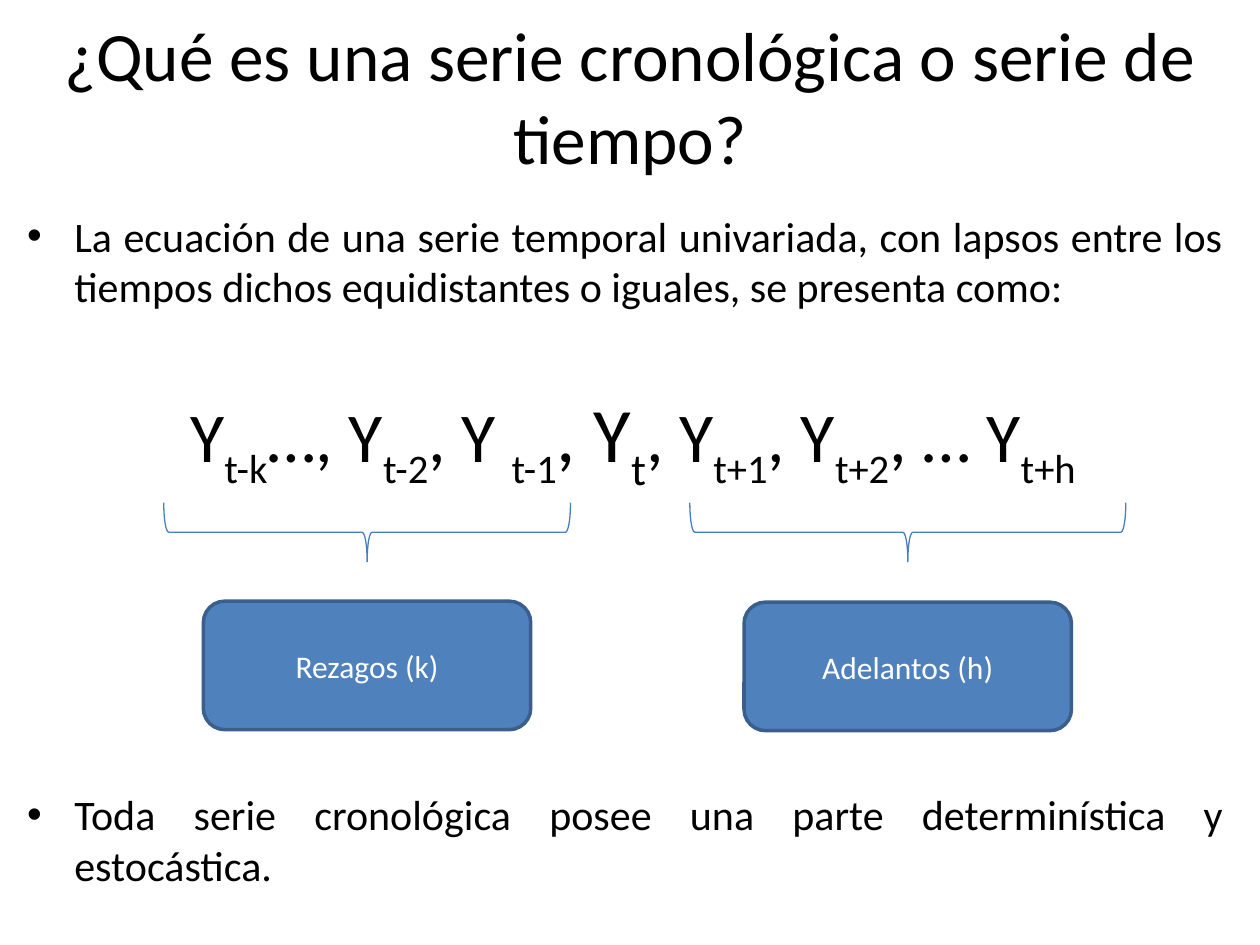
from pptx import Presentation
from pptx.dml.color import RGBColor
from pptx.enum.shapes import MSO_SHAPE
from pptx.enum.text import MSO_ANCHOR, PP_ALIGN
from pptx.oxml.ns import qn
from pptx.util import Cm, Pt
from lxml.etree import SubElement

COLORS = {
    "text": "000000",
    "label": "FFFFFF",
    "box": "4F81BD",
    "border": "3A5F8C",
    "brace": "4B7EBC",
}


class Deck:
    font = "Calibri"

    def __init__(self, prs):
        self.s = prs.slides.add_slide(prs.slide_layouts[6])

    def color(self, name):
        return RGBColor.from_string(COLORS[name])

    def run(self, p, text, size, color="text", sub=False):
        r = p.add_run()
        r.text = text
        r.font.name = self.font
        r.font.size = Pt(size)
        r.font.color.rgb = self.color(color)
        if sub:
            r._r.get_or_add_rPr().set("baseline", "-30000")

    def frame(self, x, y, w, h, anchor):
        tf = self.s.shapes.add_textbox(Cm(x), Cm(y), Cm(w), Cm(h)).text_frame
        tf.word_wrap = True
        tf.vertical_anchor = anchor
        return tf

    def line(self, x, y, w, h, runs):
        p = self.frame(x, y, w, h, MSO_ANCHOR.MIDDLE).paragraphs[0]
        p.alignment = PP_ALIGN.CENTER
        for text, size, sub in runs:
            self.run(p, text, size, sub=sub)

    def bullets(self, x, y, w, h, items, size, gap):
        tf = self.frame(x, y, w, h, MSO_ANCHOR.TOP)
        for i, text in enumerate(items):
            p = tf.add_paragraph() if i else tf.paragraphs[0]
            p.alignment = PP_ALIGN.JUSTIFY
            p.space_before = Pt(gap if i else 0)
            pPr = p._p.get_or_add_pPr()
            pPr.set("marL", str(Cm(0.95)))
            pPr.set("indent", str(-Cm(0.95)))
            SubElement(pPr, qn("a:buFont"), typeface="Arial")
            SubElement(pPr, qn("a:buChar"), char="•")
            self.run(p, text, size)

    def shape(self, kind, x, y, w, h, border, width):
        sp = self.s.shapes.add_shape(kind, Cm(x), Cm(y), Cm(w), Cm(h))
        sp.shadow.inherit = False
        sp.line.color.rgb = self.color(border)
        sp.line.width = Pt(width)
        return sp

    def brace(self, cx, cy, span, depth):
        sp = self.shape(MSO_SHAPE.RIGHT_BRACE, cx - depth / 2, cy - span / 2,
                        depth, span, "brace", 0.75)
        sp.rotation = 90
        sp.fill.background()

    def box(self, cx, y, w, h, text):
        sp = self.shape(MSO_SHAPE.ROUNDED_RECTANGLE, cx - w / 2, y, w, h, "border", 2)
        sp.fill.solid()
        sp.fill.fore_color.rgb = self.color("box")
        tf = sp.text_frame
        tf.vertical_anchor = MSO_ANCHOR.MIDDLE
        p = tf.paragraphs[0]
        p.alignment = PP_ALIGN.CENTER
        self.run(p, text, 18, "label")


def main():
    prs = Presentation()
    prs.slide_width, prs.slide_height = Cm(25.4), Cm(19.05)
    deck = Deck(prs)
    deck.line(0.3, 0.33, 24.8, 3.18,
              [("¿Qué es una serie cronológica o serie de tiempo?", 39.6, False)])
    deck.bullets(0.3, 4.11, 24.61, 14.6, [
        "La ecuación de una serie temporal univariada, con lapsos entre los "
        "tiempos dichos equidistantes o iguales, se presenta como:",
        "Toda serie cronológica posee una parte determinística y estocástica.",
    ], 24, 273)
    terms = [("Y", "t-k", 40), ("…, Y", "t-2", 40), (", Y ", "t-1", 40),
             (", Y", "t", 44), (", Y", "t+1", 40), (", Y", "t+2", 40),
             (", … Y", "t+h ", 40)]
    deck.line(1.35, 7.8, 23.01, 2.13,
              [(text, size, sub) for base, index, size in terms
               for text, sub in ((base, False), (index, True))])
    for cx, span, top, label in [(7.4, 8.2, 12.12, "Rezagos (k)"),
                                 (18.3, 8.79, 12.14, "Adelantos (h)")]:
        deck.brace(cx, 10.73, span, 1.19)
        deck.box(cx, top, 6.6, 2.59, label)
    prs.save("out.pptx")


if __name__ == "__main__":
    main()
